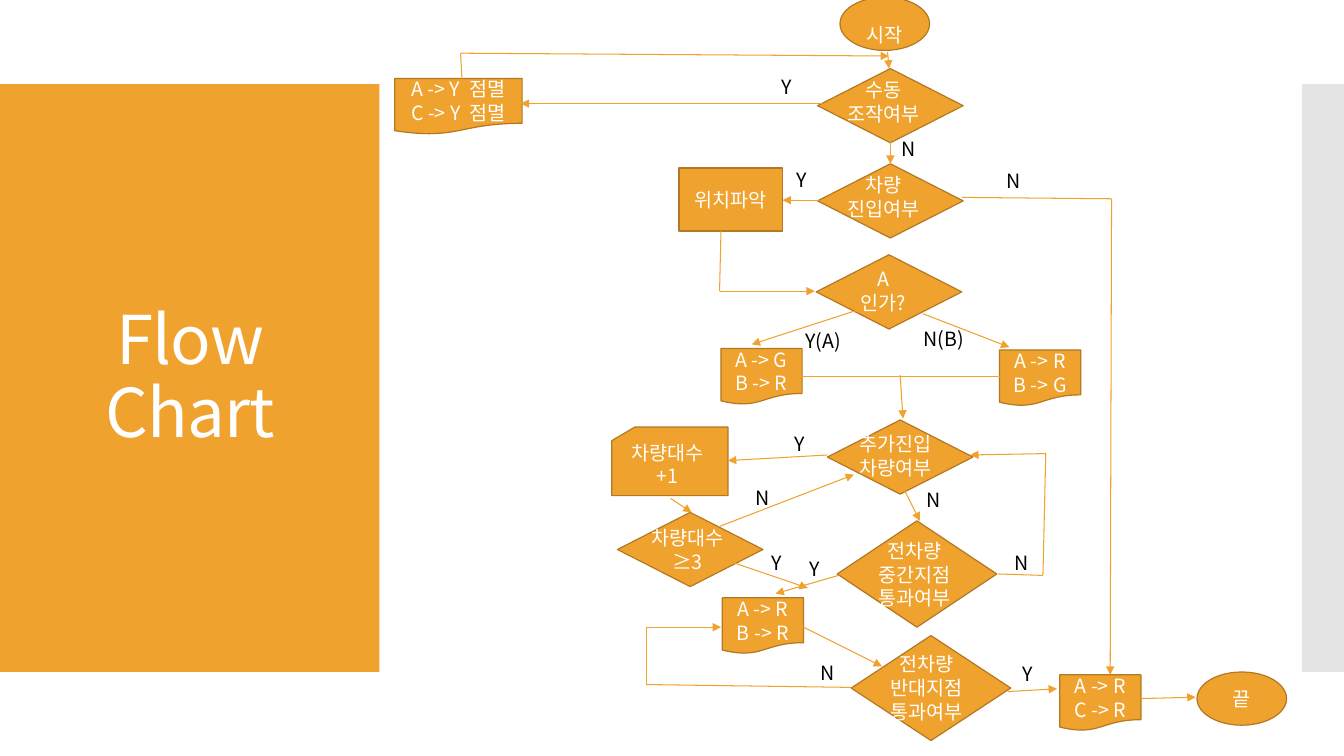
from itertools import pairwise
from pptx import Presentation
from pptx.dml.color import RGBColor as RGB
from pptx.enum.shapes import MSO_CONNECTOR as Link, MSO_SHAPE as Kind
from pptx.enum.text import MSO_ANCHOR as Anchor, MSO_AUTO_SIZE as Fit, PP_ALIGN as Align
from pptx.oxml.ns import qn
from pptx.oxml.xmlchemy import OxmlElement as Node
from pptx.util import Pt

FONT = "Noto Sans CJK KR"
ORANGE = RGB(0xF0, 0xA2, 0x2E)
BROWN = RGB(0xB2, 0x78, 0x22)
GREY = RGB(0xE4, 0xE4, 0xE4)
WHITE = RGB(0xFF, 0xFF, 0xFF)
BLACK = RGB(0, 0, 0)

SIZES = {
    Kind.FLOWCHART_DECISION: (104, 53),
    Kind.FLOWCHART_DOCUMENT: (58, 40),
    Kind.OVAL: (64, 38),
}
BANDS = [(0, 60, 271, 420, ORANGE), (930, 60, 30, 420, GREY)]

TESTS = [
    (584, 49), (584, 117), (583, 182), (591, 300), (441, 366),
    (598, 372, 114, 76), (608, 454, 114, 75),
]
SIGNALS = [
    ("A -> Y\u00a0 점멸\nC -> Y\u00a0 점멸", 282, 56, 91, 40),
    ("A -> G\nB -> R", 515, 249),
    ("A -> R\nB -> G", 714, 250),
    ("A -> R\nB -> R", 516, 427),
    ("A -> R\nC -> R", 757, 482),
]
ENDS = [("시작", 600, -2), ("끝", 855, 480)]
STEPS = [
    (Kind.RECTANGLE, "위치파악", 485, 120, 74, 45),
    (Kind.FLOWCHART_CARD, "", 437, 305, 83, 49),
]
ASKS = [
    ("수동\n조작여부", 631, 52), ("차량\n진입여부", 631, 120),
    ("A\n인가?", 631, 187), ("추가진입\n차량여부", 640, 305),
    ("차량대수\n≥3", 491, 372), ("차량대수\n+1", 477, 311),
    ("전차량\n중간지점\n통과여부", 653, 381),
    ("전차량\n반대지점\n통과여부", 662, 462),
]
LABELS = [
    ("Y", 562, 50), ("N", 649, 94), ("Y", 573, 116), ("N", 724, 117),
    ("Y(A)", 588, 231), ("N(B)", 674, 230), ("Y", 571, 305), ("N", 545, 343),
    ("N", 667, 345), ("Y", 555, 390), ("Y", 582, 394), ("N", 730, 390),
    ("N", 591, 468), ("Y", 734, 469),
]
ROUTES = [
    [(634, 37), (635, 49)],
    [(587, 74), (372, 74)],
    [(330, 57), (329, 38), (635, 40)],
    [(636, 101), (636, 117)],
    [(585, 143), (559, 143)],
    [(687, 141), (794, 142), (793, 482)],
    [(515, 165), (514, 208), (582, 208)],
    [(611, 222), (537, 246)],
    [(659, 224), (721, 248)],
    [(643, 268), (645, 299)],
    [(591, 325), (520, 329)],
    [(479, 356), (494, 366)],
    [(514, 376), (610, 339)],
    [(644, 346), (657, 372)],
    [(524, 402), (577, 420)],
    [(599, 411), (554, 424)],
    [(713, 410), (745, 411), (747, 324), (693, 325)],
    [(572, 447), (630, 476)],
    [(608, 491), (462, 489), (462, 448), (515, 448)],
    [(720, 494), (755, 492)],
    [(815, 499), (854, 498)],
]
MERGE = [(572, 269), (714, 269)]


def write(frame, text, color, size=14, pitch=17):
    frame.text = text
    frame.auto_size = Fit.NONE
    for para in frame.paragraphs:
        para.alignment = Align.CENTER
        para.line_spacing = Pt(pitch)
        font = para.font
        font.name, font.size, font.color.rgb = FONT, Pt(size), color
        east = Node("a:ea")
        east.set("typeface", FONT)
        para._p.pPr.find(qn("a:defRPr")).find(qn("a:latin")).addnext(east)


def draw(kind, x, y, w, h, fill, edge=None):
    shape = shapes.add_shape(kind, Pt(x), Pt(y), Pt(w), Pt(h))
    shape.shadow.inherit = False
    shape.fill.solid()
    shape.fill.fore_color.rgb = fill
    if edge:
        shape.line.color.rgb, shape.line.width = edge, Pt(0.85)
    else:
        shape.line.fill.background()
    return shape


def step(kind, text, x, y, *size):
    shape = draw(kind, x, y, *(size or SIZES[kind]), ORANGE, BROWN)
    if text:
        frame = shape.text_frame
        frame.word_wrap, frame.vertical_anchor = False, Anchor.MIDDLE
        frame.margin_left = frame.margin_right = 0
        frame.margin_top = frame.margin_bottom = 0
        write(frame, text, WHITE)
    return shape


def note(text, mid, top, color):
    high = 17 * len(text.split("\n")) + 7
    box = shapes.add_textbox(Pt(mid - 50), Pt(top), Pt(100), Pt(high))
    box.text_frame.word_wrap = True
    write(box.text_frame, text, color)


def route(points, arrow=True):
    for start, end in pairwise(points):
        link = shapes.add_connector(Link.STRAIGHT, *map(Pt, start + end))
        link.line.color.rgb, link.line.width = ORANGE, Pt(0.75)
        if arrow and end == points[-1]:
            tip = Node("a:tailEnd")
            tip.set("type", "triangle")
            link.line._get_or_add_ln().append(tip)
        link._element.spPr.append(Node("a:effectLst"))


deck = Presentation()
deck.slide_width, deck.slide_height = Pt(960), Pt(540)
slide = deck.slides.add_slide(deck.slide_layouts[5])
shapes = slide.shapes

for *box, fill in BANDS:
    draw(Kind.RECTANGLE, *box, fill)

title = shapes.title
title.left, title.top, title.width, title.height = map(Pt, (20, 89, 232, 362))
title.text_frame.vertical_anchor = Anchor.MIDDLE
write(title.text_frame, "Flow\vChart", WHITE, 48, 52)
for run in title.text_frame.paragraphs[0].runs:
    run._r.get_or_add_rPr().set("spc", "-60")
shapes._spTree.append(title._element)

for box in TESTS:
    step(Kind.FLOWCHART_DECISION, "", *box)
for signal in SIGNALS:
    step(Kind.FLOWCHART_DOCUMENT, *signal)
for part in STEPS:
    step(*part)
start, stop = [step(Kind.OVAL, *end) for end in ENDS]
start.text_frame.margin_top = Pt(16)

for points in ROUTES:
    route(points)
route(MERGE, arrow=False)
for ask in ASKS:
    note(*ask, WHITE)
for label in LABELS:
    note(*label, BLACK)

deck.save("out.pptx")
